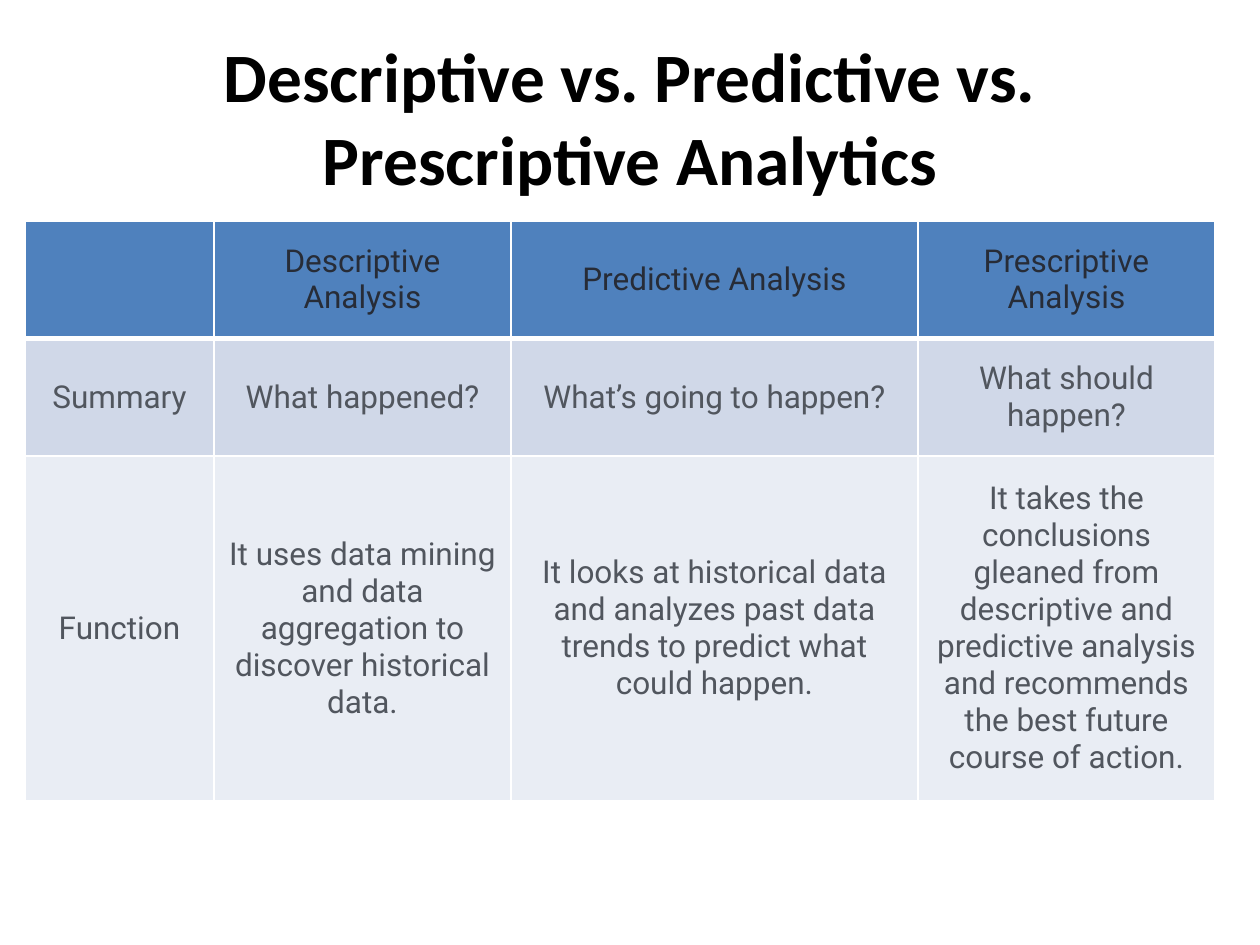
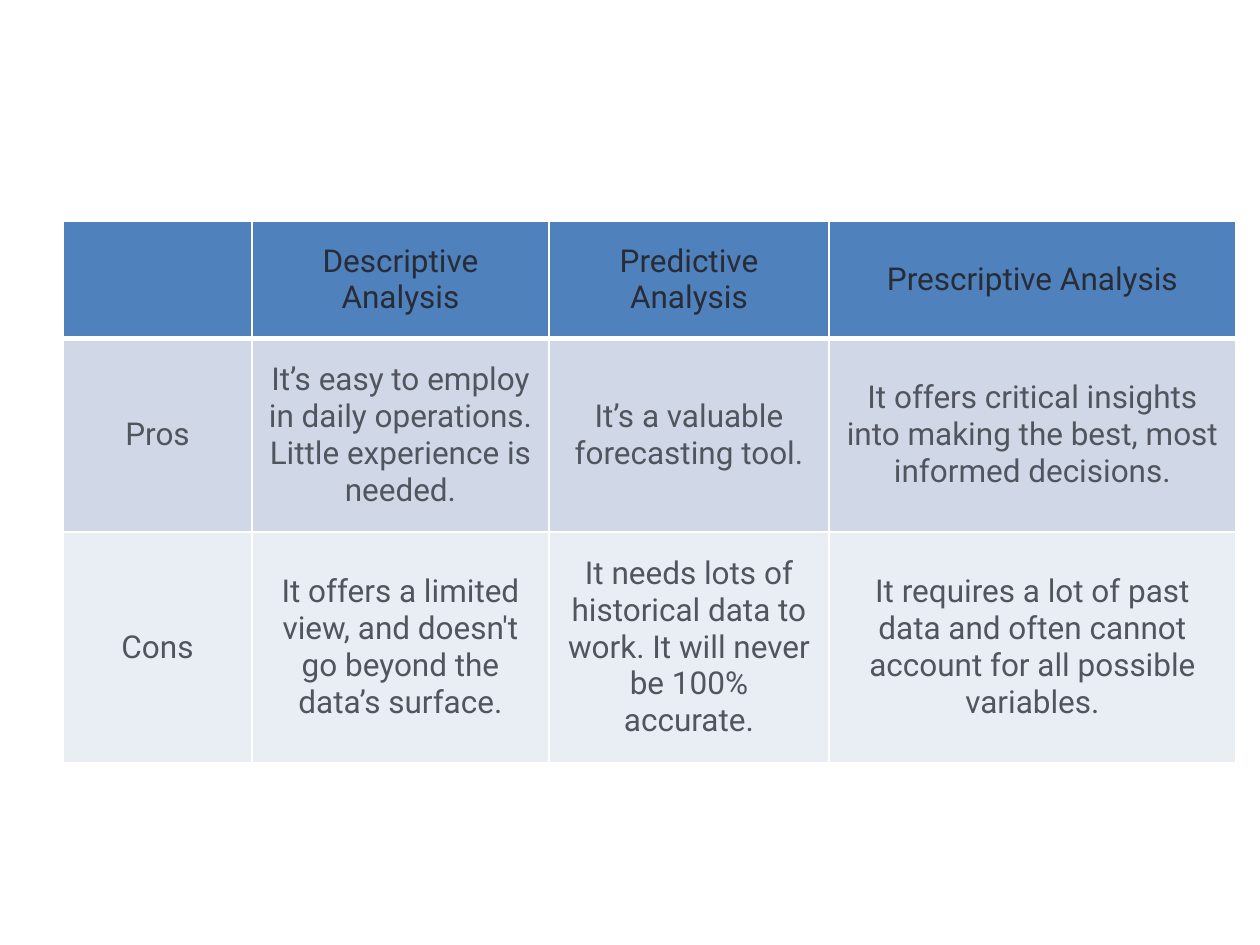
from lxml import etree
from pptx import Presentation
from pptx import util as u
from pptx.dml.color import RGBColor
from pptx.enum import text
from pptx.oxml import ns

PX = 914400 / 126
BLACK = RGBColor(0x00, 0x00, 0x00)
WHITE = RGBColor(0xFF, 0xFF, 0xFF)
HEADER_BLUE = RGBColor(0x4F, 0x81, 0xBD)
BAND_DARK = RGBColor(0xD0, 0xD8, 0xE8)
BAND_LIGHT = RGBColor(0xE9, 0xED, 0xF4)
HEADER_TEXT = RGBColor(0x27, 0x2C, 0x37)
BODY_TEXT = RGBColor(0x51, 0x56, 0x5E)


def px(length):
    return u.Emu(round(length * PX))


def write(frame, wording, color, formats):
    paragraph = frame.paragraphs[0]
    paragraph.alignment = text.PP_ALIGN.CENTER
    run = paragraph.add_run()
    run.text = wording
    run.font.color.rgb = color
    for attribute, value in formats.items():
        setattr(run.font, attribute, value)


TITLE_FONT = {"name": "Calibri", "size": u.Pt(39.6), "bold": True}
CELL_FONT = {"name": "Roboto", "size": u.Pt(18), "bold": False}
CELL_FORMAT = {
    "vertical_anchor": text.MSO_ANCHOR.MIDDLE,
    "margin_left": px(15),
    "margin_right": px(15),
    "margin_top": px(21),
    "margin_bottom": px(21),
}
ROW_COLORS = [(HEADER_BLUE, HEADER_TEXT), (BAND_DARK, BODY_TEXT), (BAND_LIGHT, BODY_TEXT)]
HEADINGS = ["", "Descriptive Analysis", "Predictive Analysis", "Prescriptive Analysis"]
TABLE_TOP = 221

comparisons = [
    {
        "title": "Descriptive vs. Predictive vs. Prescriptive Analytics",
        "left": 25,
        "widths": [189, 297, 407, 297],
        "heights": [115, 116, 337],
        "rows": [
            ["Summary", "What happened?", "What’s going to happen?", "What should happen?"],
            [
                "Function",
                "It uses data mining and data aggregation to discover historical data.",
                "It looks at historical data and analyzes past data trends to predict what could happen.",
                "It takes the conclusions gleaned from descriptive and predictive analysis "
                "and recommends the best future course of action.",
            ],
        ],
    },
    {
        "title": None,
        "left": 63,
        "widths": [189, 297, 280, 407],
        "heights": [115, 190, 226],
        "rows": [
            [
                "Pros",
                "It’s easy to employ in daily operations. Little experience is needed.",
                "It’s a valuable forecasting tool.",
                "It offers critical insights into making the best, most informed decisions.",
            ],
            [
                "Cons",
                "It offers a limited view, and doesn't go beyond the data’s surface.",
                "It needs lots of historical data to work. It will never be 100% accurate.",
                "It requires a lot of past data and often cannot account for all possible variables.",
            ],
        ],
    },
]

deck = Presentation()
deck.slide_width, deck.slide_height = px(1260), px(945)

for comparison in comparisons:
    slide = deck.slides.add_slide(deck.slide_layouts[6])

    if comparison["title"]:
        title = slide.shapes.add_textbox(px(63), px(38), px(1134), px(157)).text_frame
        title.word_wrap = True
        title.vertical_anchor = text.MSO_ANCHOR.MIDDLE
        write(title, comparison["title"], BLACK, TITLE_FONT)

    widths, heights = comparison["widths"], comparison["heights"]
    grid = slide.shapes.add_table(
        len(heights), len(widths), px(comparison["left"]), px(TABLE_TOP),
        px(sum(widths)), px(sum(heights)),
    ).table
    for column, width in zip(grid.columns, widths):
        column.width = px(width)
    for row, height in zip(grid.rows, heights):
        row.height = px(height)

    for r, wordings in enumerate([HEADINGS] + comparison["rows"]):
        fill_color, text_color = ROW_COLORS[r]
        rule_widths = {"L": 1, "R": 1, "T": 3 if r == 1 else 1, "B": 3 if r == 0 else 1}
        for c, wording in enumerate(wordings):
            cell = grid.cell(r, c)
            for attribute, value in CELL_FORMAT.items():
                setattr(cell, attribute, value)
            if wording:
                write(cell.text_frame, wording, text_color, CELL_FONT)
            properties = cell._tc.get_or_add_tcPr()
            for side, points in rule_widths.items():
                rule = etree.SubElement(properties, ns.qn(f"a:ln{side}"), w=str(u.Pt(points)))
                paint = etree.SubElement(rule, ns.qn("a:solidFill"))
                etree.SubElement(paint, ns.qn("a:srgbClr"), val=str(WHITE))
            cell.fill.solid()
            cell.fill.fore_color.rgb = fill_color

deck.save("out.pptx")
